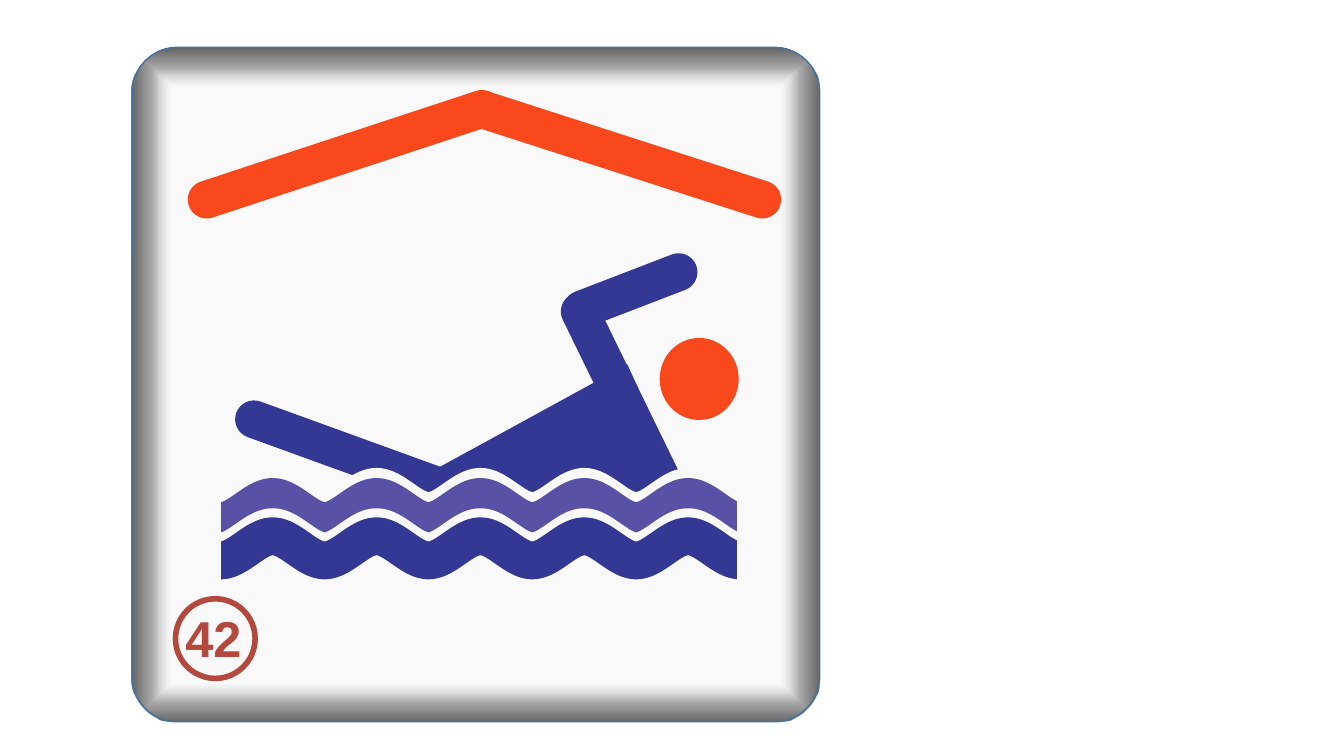
from lxml import etree
from pptx import Presentation
from pptx.dml.color import RGBColor
from pptx.enum.shapes import MSO_CONNECTOR, MSO_SHAPE
from pptx.enum.text import MSO_AUTO_SIZE
from pptx.oxml import parse_xml
from pptx.oxml.ns import nsdecls, qn
from pptx.util import Inches, Pt

OVAL, RECT, ROUNDED = MSO_SHAPE.OVAL, MSO_SHAPE.RECTANGLE, MSO_SHAPE.ROUNDED_RECTANGLE
STRAIGHT = MSO_CONNECTOR.STRAIGHT
ORANGE, NAVY, VIOLET, WHITE, RED, STEEL = "FF3300", "1A218B", "473E9E", "FFFFFF", "B03327", "43739E"
STROKE = 27

ROOF = [((2.05, 1.98), (4.78, 1.08)), ((7.56, 1.98), (4.8, 1.09))]
ARM = [((6.73, 2.7), (5.77, 3.07)), ((5.75, 3.09), (6.55, 4.73))]
LEG = [((2.52, 4.16), (4.78, 4.98))]
TORSO = [(6.14, 3.86), (4.55, 4.73), (4.95, 5.39), (6.5, 4.66)]
HEAD = (6.55, 3.36, 0.77, 0.8)
WAVES = [(4.83, WHITE), (4.93, VIOLET), (5.23, WHITE), (5.48, WHITE), (5.32, NAVY)]
WAVE_LEFT, HALF_WAVE, HALF_COUNT, WAVE_HEIGHT = 1.16, 0.515, 13, 0.24
MASKS = [((7.32, 4.14, 1.32, 1.97), WHITE), ((0.9, 4.16, 1.29, 1.97), None)]
BADGE = (1.74, 5.94, 0.79, 0.79)
NUMBER, NUMBER_BOX = "42", (1.74, 5.97, 0.76, 0.71)
NUMBER_FONT = {"name": "Arial", "size": Pt(36), "bold": True}
PANEL, PANEL_ROUNDING = (1.31, 0.47, 6.82, 6.69), 0.067
PANEL_STOPS = [(88, "DBDBDB", 12), (94, "AAAAAA", 100), (100, "636363", 100)]


def rgb(value):
    return RGBColor.from_string(value)


def inches(values):
    return [Inches(v) for v in values]


def set_line(sp, color, width, join="round", cap="flat"):
    if color is None:
        sp.line.fill.background()
        return
    sp.line.color.rgb = rgb(color)
    sp.line.width = Pt(width)
    ln = sp.line._get_or_add_ln()
    ln.set("cap", cap)
    etree.SubElement(ln, qn(f"a:{join}"))


def style(sp, fill, color, width=1, join="round"):
    sp.shadow.inherit = False
    if fill:
        sp.fill.solid()
        sp.fill.fore_color.rgb = rgb(fill)
    else:
        sp.fill.background()
    set_line(sp, color, width, join)
    return sp


def add_preset(kind, box, fill, color, width=1):
    return style(s.shapes.add_shape(kind, *inches(box)), fill, color, width)


def add_limbs(limbs, color):
    for start, end in limbs:
        sp = s.shapes.add_connector(STRAIGHT, *inches(start + end))
        set_line(sp, color, STROKE, cap="rnd")
        etree.SubElement(sp._element.spPr, qn("a:effectLst"))


def add_outline(points, close):
    points = [inches(p) for p in points]
    builder = s.shapes.build_freeform(*points[0], scale=1.0)
    builder.add_line_segments(points[1:], close=close)
    return builder.convert_to_shape()


def wave_points(top):
    levels = (top + WAVE_HEIGHT, top)
    points = [(WAVE_LEFT, levels[0])]
    for i in range(HALF_COUNT):
        start, end = levels[i % 2], levels[1 - i % 2]
        for share, y in ((1 / 3, start), (2 / 3, end), (1, end)):
            points.append((WAVE_LEFT + HALF_WAVE * (i + share), y))
    return points


def add_wave(top, color):
    sp = add_outline(wave_points(top), False)
    steps = list(sp._element.iter(qn("a:lnTo")))
    for i in range(0, len(steps), 3):
        curve = etree.Element(qn("a:cubicBezTo"))
        steps[i].addprevious(curve)
        for step in steps[i:i + 3]:
            curve.append(step[0])
            step.getparent().remove(step)
    style(sp, None, color, STROKE)


def set_gradient(sp, stops):
    spPr = sp._element.spPr
    spPr.remove(spPr.find(qn("a:noFill")))
    gs = "".join(
        f'<a:gs pos="{pos * 1000}"><a:srgbClr val="{color}">'
        f'<a:alpha val="{alpha * 1000}"/></a:srgbClr></a:gs>'
        for pos, color, alpha in stops)
    xml = (f'<a:gradFill {nsdecls("a")} rotWithShape="1"><a:gsLst>{gs}</a:gsLst>'
           '<a:path path="rect"><a:fillToRect l="50000" t="50000" r="50000" b="50000"/>'
           '</a:path></a:gradFill>')
    spPr.find(qn("a:prstGeom")).addnext(parse_xml(xml))


prs = Presentation()
prs.slide_width, prs.slide_height = inches((13.33, 7.5))
s = prs.slides.add_slide(prs.slide_layouts[6])

add_limbs(ROOF, ORANGE)
add_preset(OVAL, HEAD, ORANGE, ORANGE)
add_limbs(ARM, NAVY)
style(add_outline(TORSO, True), NAVY, NAVY, 25.25, "miter")
add_limbs(LEG, NAVY)
for top, color in WAVES:
    add_wave(top, color)
for box, edge in MASKS:
    add_preset(RECT, box, WHITE, edge)
add_preset(OVAL, BADGE, WHITE, RED, 4)

tf = s.shapes.add_textbox(*inches(NUMBER_BOX)).text_frame
tf.word_wrap = False
tf.auto_size = MSO_AUTO_SIZE.SHAPE_TO_FIT_TEXT
r = tf.paragraphs[0].add_run()
r.text = NUMBER
for key, value in NUMBER_FONT.items():
    setattr(r.font, key, value)
r.font.color.rgb = rgb(RED)

panel = add_preset(ROUNDED, PANEL, None, STEEL)
panel.adjustments[0] = PANEL_ROUNDING
set_gradient(panel, PANEL_STOPS)

prs.save("out.pptx")
